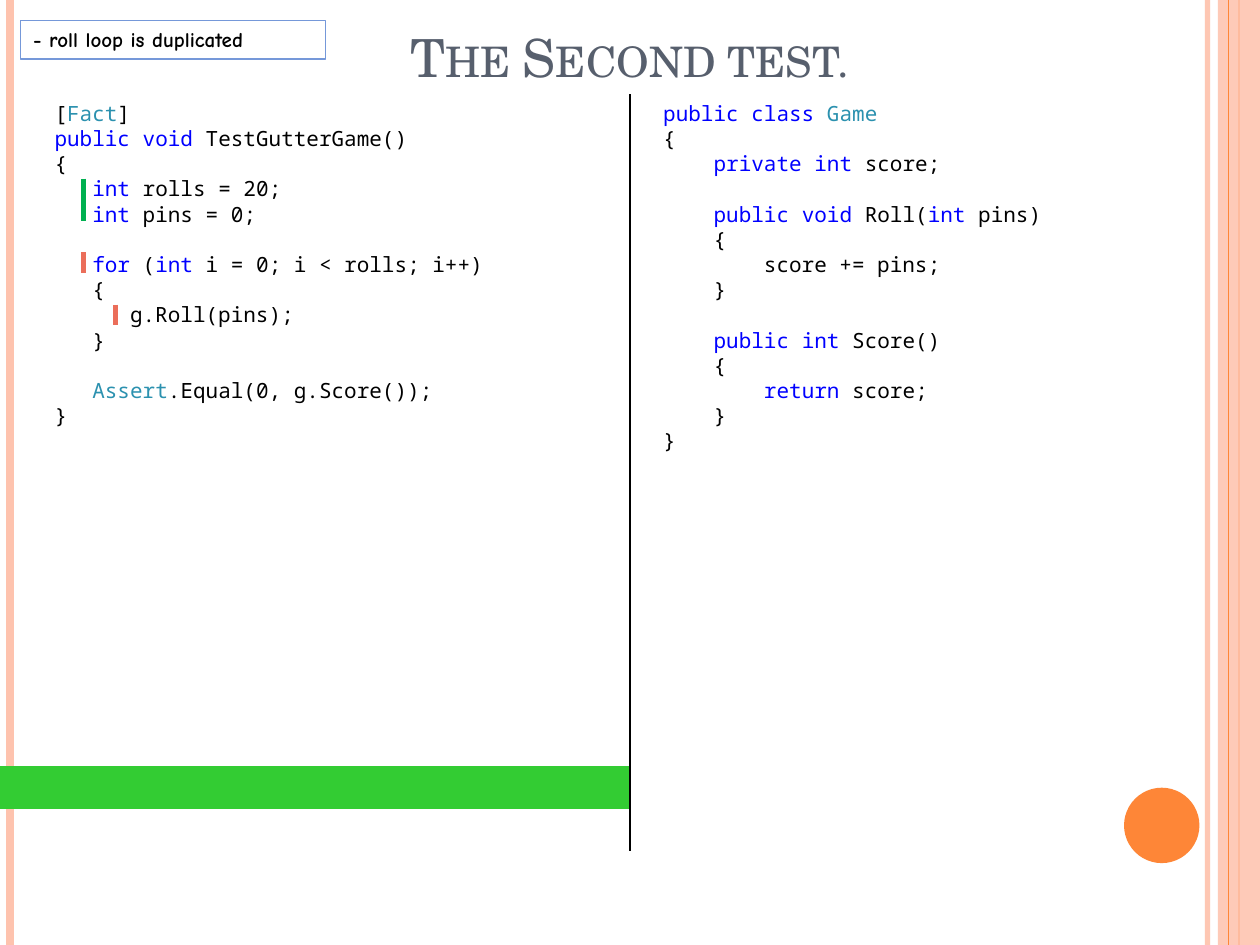
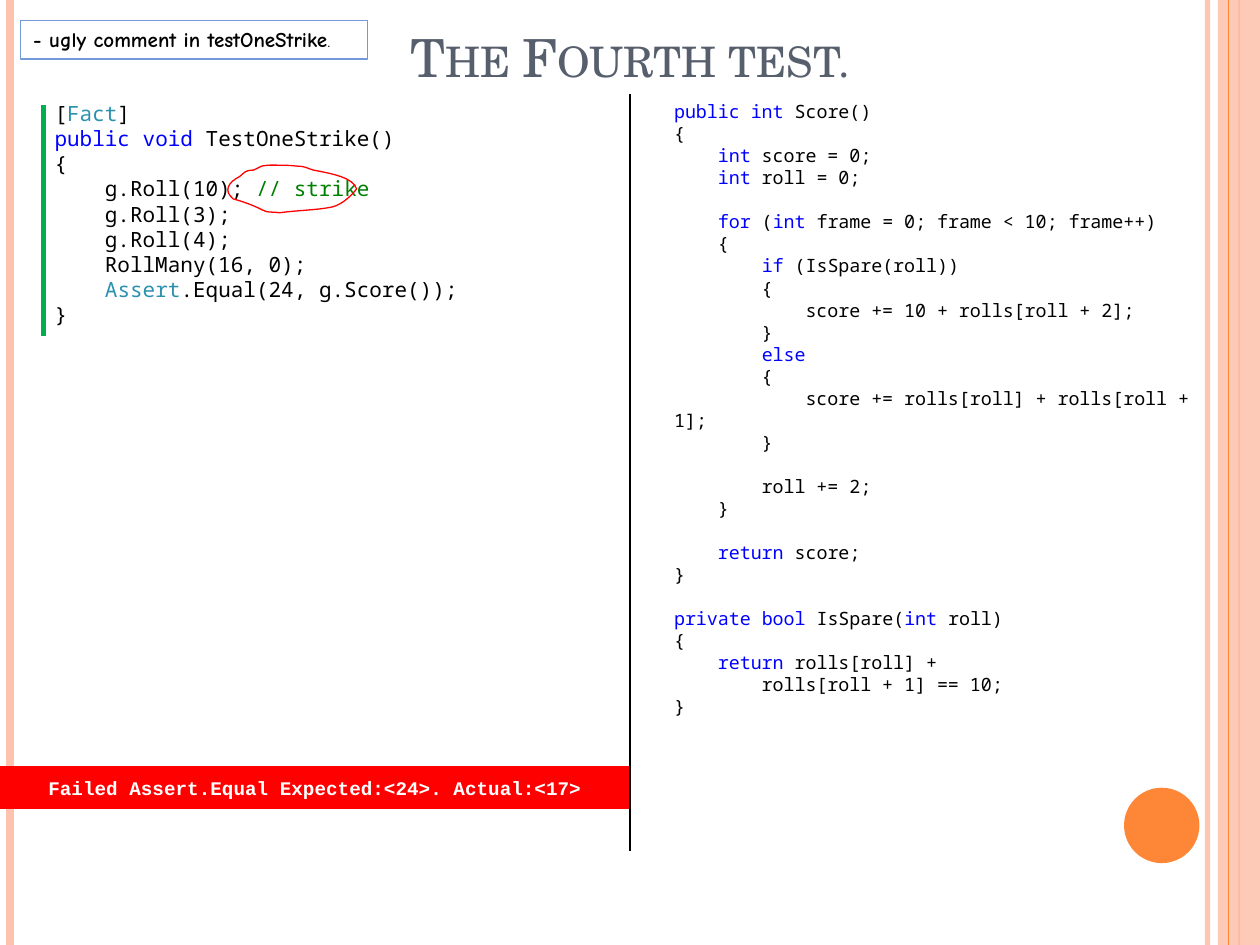
"""Build two slides on test-driven code: the second test and the fourth test."""
from itertools import groupby, pairwise

from lxml import etree
from pptx import Presentation
from pptx.dml.color import RGBColor
from pptx.enum import shapes, text
from pptx.oxml import ns
from pptx.util import Cm, Pt

hex_colour = RGBColor.from_string
PINK, ORANGE, BLACK, WHITE = "FEC3AE", "FE8637", "000000", "FFFFFF"
GREEN_MARK, RED_MARK, COMMENT = "00B050", "EB6E5A", "008000"
CODE_FONT = "Noto Sans Mono"
LINE_HEIGHT = 1.2
SLIDE_WIDTH, SLIDE_HEIGHT = 25.4, 19.05

KEYWORDS = "public private void class int bool for if else return".split()
SYNTAX = {word: "0000FF" for word in KEYWORDS}
SYNTAX |= {word: "2B91AF" for word in ("Fact", "Assert", "Game")}

GUTTER_TEST = """[Fact]
public void TestGutterGame()
{
   int rolls = 20;
   int pins = 0;

   for (int i = 0; i < rolls; i++)
   {
      g.Roll(pins);
   }

   Assert.Equal(0, g.Score());
}"""

GAME_CLASS = """public class Game
{
    private int score;

    public void Roll(int pins)
    {
        score += pins;
    }

    public int Score()
    {
        return score;
    }
}"""

STRIKE_TEST = """[Fact]
public void TestOneStrike()
{
    g.Roll(10); // strike
    g.Roll(3);
    g.Roll(4);
    RollMany(16, 0);
    Assert.Equal(24, g.Score());
}"""

SCORE_METHODS = """public int Score()
{
    int score = 0;
    int roll = 0;

    for (int frame = 0; frame < 10; frame++)
    {
        if (IsSpare(roll))
        {
            score += 10 + rolls[roll + 2];
        }
        else
        {
            score += rolls[roll] + rolls[roll + 1];
        }

        roll += 2;
    }

    return score;
}

private bool IsSpare(int roll)
{
    return rolls[roll] +
        rolls[roll + 1] == 10;
}"""

STRIKE_LOOP = [
    (7.19, 3.81), (7.11, 3.91), (6.93, 4.11), (6.71, 4.17), (6.4, 4.24), (5.97, 4.24),
    (5.64, 4.29), (5.51, 4.27), (5.38, 4.29), (5.31, 4.24), (5.28, 4.24), (5.28, 4.22),
    (5.26, 4.22), (5.11, 4.14), (4.88, 4.06), (4.7, 4.01), (4.5, 3.84), (4.6, 3.68),
    (4.83, 3.56), (4.93, 3.48), (4.95, 3.43), (5.11, 3.43), (5.33, 3.33), (5.23, 3.35),
    (5.44, 3.33), (5.61, 3.33), (5.82, 3.33), (5.99, 3.35), (6.15, 3.35), (6.2, 3.4),
    (6.32, 3.43), (6.73, 3.51), (7.11, 3.58), (7.19, 3.81),
]

SLIDES = [
    dict(
        title="The Second test.",
        note=[("- roll loop is duplicated", 12, True)],
        note_width=6.15,
        band="33CC33",
        verdict="",
        columns=[(0.85, 11.23, 6.93, 12, GUTTER_TEST), (13.12, 11.86, 7.44, 12, GAME_CLASS)],
        marks=[(1.69, 3.6, 4.45, GREEN_MARK), (1.69, 5.08, 5.5, RED_MARK),
               (2.33, 6.14, 6.56, RED_MARK)],
        loop=[],
    ),
    dict(
        title="The Fourth test.",
        note=[("- ugly comment in testOneStrike", 12, True), (".", 10, False)],
        note_width=6.99,
        band="FF0000",
        verdict="Failed Assert.Equal Expected:<24>. Actual:<17>",
        columns=[(0.85, 11.23, 4.88, 12, STRIKE_TEST), (13.34, 11.23, 12.83, 10.5, SCORE_METHODS)],
        marks=[(0.87, 2.12, 6.77, GREEN_MARK)],
        loop=STRIKE_LOOP,
    ),
]


def add_line(page, x1, y1, x2, y2, colour, width):
    line = page.shapes.add_connector(
        shapes.MSO_CONNECTOR.STRAIGHT, Cm(x1), Cm(y1), Cm(x2), Cm(y2))
    line.line.color.rgb = hex_colour(colour)
    line.line.width = Pt(width)
    etree.SubElement(line._element.spPr, ns.qn("a:effectLst"))
    return line


def add_span(para, words, font, size, colour, bold=False):
    span = para.add_run()
    span.text = words
    span.font.name = font
    span.font.size = Pt(size)
    span.font.bold = bold
    span.font.color.rgb = hex_colour(colour)
    return span


deck = Presentation()
deck.slide_width, deck.slide_height = Cm(SLIDE_WIDTH), Cm(SLIDE_HEIGHT)

for slide in SLIDES:
    page = deck.slides.add_slide(deck.slide_layouts[6])

    inner_rail, left_rail, right_rail = [
        add_line(page, x, 0, x, SLIDE_HEIGHT, colour, width)
        for x, colour, width in ((24.34, PINK, 3), (0.21, PINK, 4.5), (24.98, ORANGE, 1.5))
    ]

    boxes = {}
    for name, preset, left, top, width, height, fill, outline in (
        ("margin", "RECTANGLE", 24.55, 0, 0.85, SLIDE_HEIGHT, PINK, None),
        ("disc", "OVAL", 22.66, 15.88, 1.52, 1.52, ORANGE, None),
        ("note", "RECTANGLE", 0.42, 0.42, slide["note_width"], 0.77, None, "7598D9"),
        ("band", "RECTANGLE", 0, 15.45, 12.7, 0.85, slide["band"], slide["band"]),
    ):
        box = page.shapes.add_shape(
            shapes.MSO_SHAPE[preset], Cm(left), Cm(top), Cm(width), Cm(height))
        box.shadow.inherit = False
        if fill:
            box.fill.solid()
            box.fill.fore_color.rgb = hex_colour(fill)
        else:
            box.fill.background()
        if outline:
            box.line.color.rgb = hex_colour(outline)
            box.line.width = Pt(0.75)
        else:
            box.line.fill.background()
        boxes[name] = box
        if name == "margin":
            add_line(page, 24.77, 0, 24.77, SLIDE_HEIGHT, ORANGE, 0.75)

    for sheer, opacity in ((inner_rail, 93), (boxes["margin"], 87)):
        tint = sheer._element.spPr.find(".//" + ns.qn("a:srgbClr"))
        etree.SubElement(tint, ns.qn("a:alpha")).set("val", str(opacity * 1000))

    title = page.shapes.add_textbox(Cm(1.27), Cm(0), Cm(22.86), Cm(1.9)).text_frame
    title.word_wrap = True
    title.vertical_anchor = text.MSO_ANCHOR.BOTTOM
    title.paragraphs[0].alignment = text.PP_ALIGN.CENTER
    heading = add_span(title.paragraphs[0], slide["title"], "TeX Gyre Schola", 30, "575F6D")
    heading._r.get_or_add_rPr().set("cap", "small")

    note = boxes["note"].text_frame
    note.word_wrap = True
    note.vertical_anchor = text.MSO_ANCHOR.TOP
    note.paragraphs[0].alignment = text.PP_ALIGN.LEFT
    for words, size, bold in slide["note"]:
        add_span(note.paragraphs[0], words, "Comic Neue", size, BLACK, bold)

    if slide["verdict"]:
        verdict = boxes["band"].text_frame
        verdict.word_wrap = False
        verdict.vertical_anchor = text.MSO_ANCHOR.MIDDLE
        verdict.paragraphs[0].alignment = text.PP_ALIGN.CENTER
        add_span(verdict.paragraphs[0], slide["verdict"], "Courier New", 11, WHITE, True)

    for left, width, height, size, code in slide["columns"]:
        column = page.shapes.add_textbox(Cm(left), Cm(1.9), Cm(width), Cm(height)).text_frame
        column.word_wrap = True
        para = column.paragraphs[0]
        for previous, row in pairwise(["{"] + code.split("\n")):
            if not row:
                continue
            if para.runs:
                para = column.add_paragraph()
            if not previous:
                para.space_before = Pt(size * LINE_HEIGHT)
            statement, slashes, remark = row.partition("//")
            words = ["".join(group) for _, group in groupby(statement, str.isalnum)]
            for colour, group in groupby(words, lambda word: SYNTAX.get(word, BLACK)):
                add_span(para, "".join(group), CODE_FONT, size, colour)
            if slashes:
                add_span(para, slashes + remark, CODE_FONT, size, COMMENT)

    for x, top, bottom, colour in slide["marks"]:
        add_line(page, x, top, x, bottom, colour, 2.75)
    add_line(page, 12.7, 1.9, 12.7, 17.15, BLACK, 1)

    if slide["loop"]:
        knots = slide["loop"]
        outline = []
        for first in range(0, len(knots) - 1, 3):
            for step in range(1, 9):
                t = step / 8
                weights = ((1 - t) ** 3, 3 * t * (1 - t) ** 2, 3 * t * t * (1 - t), t ** 3)
                curve = list(zip(weights, knots[first:first + 4]))
                outline.append(tuple(Cm(sum(w * knot[axis] for w, knot in curve))
                                     for axis in (0, 1)))
        builder = page.shapes.build_freeform(*outline[-1])
        builder.add_line_segments(outline, close=True)
        circle = builder.convert_to_shape()
        circle.shadow.inherit = False
        circle.fill.background()
        circle.line.color.rgb = hex_colour("FF0000")
        circle.line.width = Pt(0.75)

deck.save("out.pptx")
